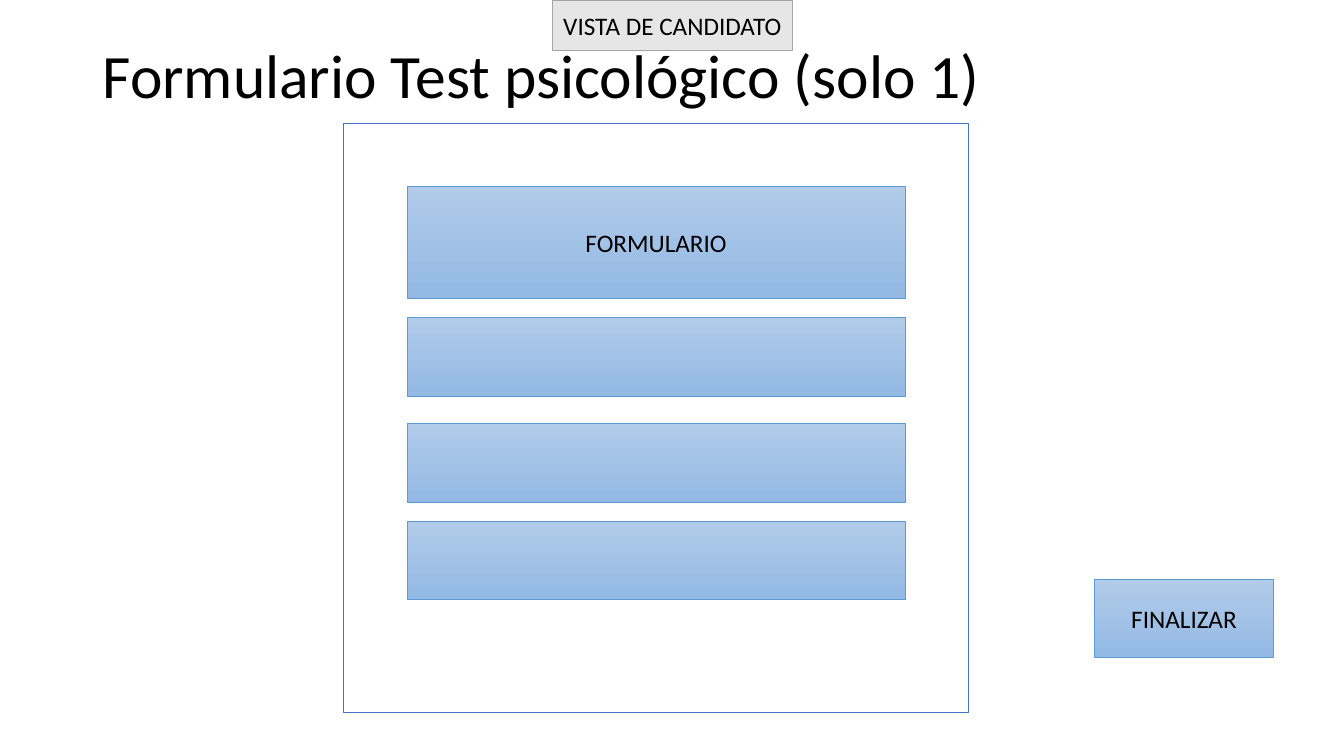
from dataclasses import dataclass

from pptx import Presentation
from pptx.dml.color import RGBColor
from pptx.enum.shapes import MSO_SHAPE
from pptx.enum.text import MSO_ANCHOR, MSO_AUTO_SIZE, PP_ALIGN
from pptx.util import Cm, Pt

RECT = MSO_SHAPE.RECTANGLE
TOP, MIDDLE = MSO_ANCHOR.TOP, MSO_ANCHOR.MIDDLE
LEFT, CENTER = PP_ALIGN.LEFT, PP_ALIGN.CENTER
NO_FIT = MSO_AUTO_SIZE.NONE


@dataclass(frozen=True)
class Theme:
    font: str = "Calibri"
    title: int = 44
    label: int = 18
    ink: str = "000000"
    paper: str = "FFFFFF"
    frame: str = "4472C4"
    bar: tuple = ("B1CBE9", "93B9E4")
    edge: str = "5B9BD5"
    tag: str = "E7E6E6"
    rim: str = "A5A5A5"


theme = Theme()


def write(shape, text, size, align, anchor):
    frame = shape.text_frame
    frame.auto_size = NO_FIT
    frame.vertical_anchor = anchor
    para = frame.paragraphs[0]
    para.alignment = align
    run = para.add_run()
    run.text = text
    run.font.name = theme.font
    run.font.size = Pt(size)
    run.font.color.rgb = RGBColor.from_string(theme.ink)
    return para


def add_box(place, fill, line, weight=0.5, text=""):
    """Add a rectangle; a pair of fill colours runs from top to bottom."""
    box = slide.shapes.add_shape(RECT, *map(Cm, place))
    box.shadow.inherit = False
    if isinstance(fill, tuple):
        box.fill.gradient()
        box.fill.gradient_angle = 270
        for stop, color, spot in zip(box.fill.gradient_stops, fill, (0, 1)):
            stop.color.rgb = RGBColor.from_string(color)
            stop.position = spot
    else:
        box.fill.solid()
        box.fill.fore_color.rgb = RGBColor.from_string(fill)
    box.line.color.rgb = RGBColor.from_string(line)
    box.line.width = Pt(weight)
    if text:
        write(box, text, theme.label, CENTER, MIDDLE)
        box.text_frame.word_wrap = False


deck = Presentation()
deck.slide_width, deck.slide_height = Cm(33.87), Cm(19.05)
slide = deck.slides.add_slide(deck.slide_layouts[5])

title = slide.shapes.title
title.left, title.top, title.width, title.height = map(Cm, (2.33, 1.01, 29.21, 3.68))
para = write(title, "Formulario Test psicológico (solo 1)", theme.title, LEFT, TOP)
para.line_spacing = 0.9

add_box((8.66, 3.12, 15.75, 14.83), theme.paper, theme.frame, 1)

bars = [
    (4.7, 2.82, "FORMULARIO"),
    (8, 1.98, ""),
    (10.67, 1.98, ""),
    (13.13, 1.98, ""),
]
for top, height, text in bars:
    add_box((10.26, top, 12.55, height), theme.bar, theme.edge, text=text)

add_box((27.58, 14.6, 4.52, 1.96), theme.bar, theme.edge, text="FINALIZAR")
add_box((13.92, 0, 6.05, 1.27), theme.tag, theme.rim, text="VISTA DE CANDIDATO")

deck.save("out.pptx")
